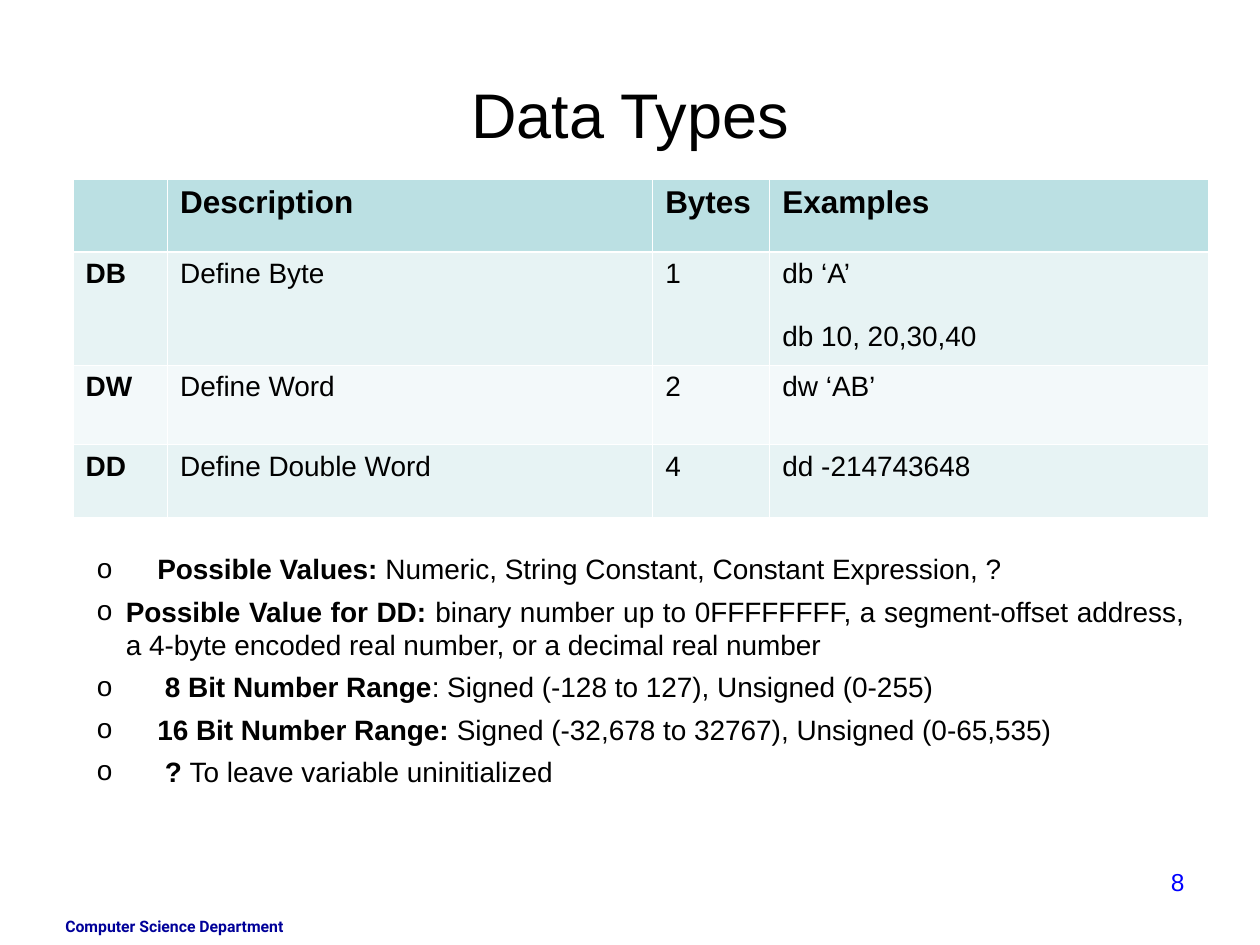
from dataclasses import dataclass

from lxml import etree
from pptx import Presentation
from pptx.dml.color import RGBColor
from pptx.enum import text
from pptx.oxml import ns
from pptx.util import Inches, Pt

COLORS = {
    "black": "000000",
    "white": "FFFFFF",
    "header": "BBE0E3",
    "odd_row": "E7F3F4",
    "even_row": "F3F9FA",
    "number": "0000FF",
    "department": "000099",
}
COLUMN_WIDTHS = (0.75, 3.85, 0.93, 3.48)
ROW_HEIGHTS = (0.58, 0.9, 0.63, 0.58)
DATA_TYPES = (
    ("", "Description", "Bytes", "Examples"),
    ("DB", "Define Byte", "1", "db ‘A’\ndb 10, 20,30,40"),
    ("DW", "Define Word", "2", "dw ‘AB’"),
    ("DD", "Define Double Word", "4", "dd -214743648"),
)


@dataclass
class Note:
    label: str
    detail: str
    indent: float


NOTES = (
    Note("Possible Values: ", "Numeric, String Constant, Constant Expression, ?", 0.48),
    Note(
        "Possible Value for DD: ",
        "binary number up to 0FFFFFFFF, a segment-offset address, "
        "a 4-byte encoded real number, or a decimal real number",
        0.23,
    ),
    Note("8 Bit Number Range", ": Signed (-128 to 127), Unsigned (0-255)", 0.54),
    Note("16 Bit Number Range: ", "Signed (-32,678 to 32767), Unsigned (0-65,535)", 0.48),
    Note("? ", "To leave variable uninitialized", 0.54),
)


def set_font(paragraph, size: float, color: str = "black", bold=None, name: str = "Arial") -> None:
    font = paragraph.font
    font.name, font.size, font.bold = name, Pt(size), bold
    font.color.rgb = RGBColor.from_string(COLORS[color])


def add_text_frame(slide, left: float, top: float, width: float, height: float):
    frame = slide.shapes.add_textbox(
        Inches(left), Inches(top), Inches(width), Inches(height)
    ).text_frame
    frame.word_wrap = True
    return frame


def add_border(cell, side: str, width: float) -> None:
    properties = cell._tc.get_or_add_tcPr()
    line = etree.SubElement(properties, ns.qn(f"a:ln{side}"), w=str(Pt(width)))
    fill = etree.SubElement(line, ns.qn("a:solidFill"))
    etree.SubElement(fill, ns.qn("a:srgbClr"), val=COLORS["white"])


def fill_cell(cell, content: str, row: int, column: int) -> None:
    header = row == 0
    for side in "LRTB":
        under_header = (row, side) in ((0, "B"), (1, "T"))
        add_border(cell, side, 1.47 if under_header else 0.45)
    shade = "header" if header else "odd_row" if row % 2 else "even_row"
    cell.fill.solid()
    cell.fill.fore_color.rgb = RGBColor.from_string(COLORS[shade])
    cell.text = content
    for index, paragraph in enumerate(cell.text_frame.paragraphs):
        if index:
            paragraph.space_before = Pt(18)
        set_font(paragraph, 18 if header else 16, bold=header or column == 0)


def add_data_types(slide) -> None:
    table = slide.shapes.add_table(
        len(ROW_HEIGHTS), len(COLUMN_WIDTHS),
        Inches(0.58), Inches(1.42), Inches(sum(COLUMN_WIDTHS)), Inches(sum(ROW_HEIGHTS)),
    ).table
    for column, width in zip(table.columns, COLUMN_WIDTHS):
        column.width = Inches(width)
    for row, height in zip(table.rows, ROW_HEIGHTS):
        row.height = Inches(height)
    for row, contents in enumerate(DATA_TYPES):
        for column, content in enumerate(contents):
            fill_cell(table.cell(row, column), content, row, column)


def add_bullet(paragraph, indent: float) -> None:
    properties = paragraph._p.get_or_add_pPr()
    properties.set("marL", str(Inches(indent)))
    properties.set("indent", str(-Inches(indent)))
    color = etree.SubElement(properties, ns.qn("a:buClr"))
    etree.SubElement(color, ns.qn("a:srgbClr"), val=COLORS["black"])
    etree.SubElement(properties, ns.qn("a:buFont"), typeface="Arial")
    etree.SubElement(properties, ns.qn("a:buChar"), char="o")


def add_notes_list(slide) -> None:
    frame = add_text_frame(slide, 0.67, 4.33, 8.83, 1.98)
    for index, note in enumerate(NOTES):
        paragraph = frame.add_paragraph() if index else frame.paragraphs[0]
        add_bullet(paragraph, note.indent)
        paragraph.alignment = text.PP_ALIGN.JUSTIFY
        paragraph.space_after = Pt(5)
        set_font(paragraph, 16)
        label = paragraph.add_run()
        label.text = note.label
        label.font.bold = True
        paragraph.add_run().text = note.detail


def main() -> None:
    deck = Presentation()
    deck.slide_width, deck.slide_height = Inches(10), Inches(7.5)
    slide = deck.slides.add_slide(deck.slide_layouts[5])

    title = slide.shapes.title
    title.left, title.top = Inches(0.5), Inches(0.3)
    title.width, title.height = Inches(9), Inches(1.2)
    title.text_frame.text = "Data Types"
    title.text_frame.vertical_anchor = text.MSO_ANCHOR.MIDDLE
    heading = title.text_frame.paragraphs[0]
    heading.alignment = text.PP_ALIGN.CENTER
    set_font(heading, 36)

    add_data_types(slide)
    add_notes_list(slide)

    department = add_text_frame(slide, 0.42, 7.23, 2.33, 0.27).paragraphs[0]
    department.text = "Computer Science Department"
    set_font(department, 9, "department", True, "Roboto")

    page_number = add_text_frame(slide, 7.17, 6.83, 2.33, 0.52).paragraphs[0]
    page_number.text = "8"
    page_number.alignment = text.PP_ALIGN.RIGHT
    set_font(page_number, 14, "number")

    deck.save("out.pptx")


if __name__ == "__main__":
    main()
